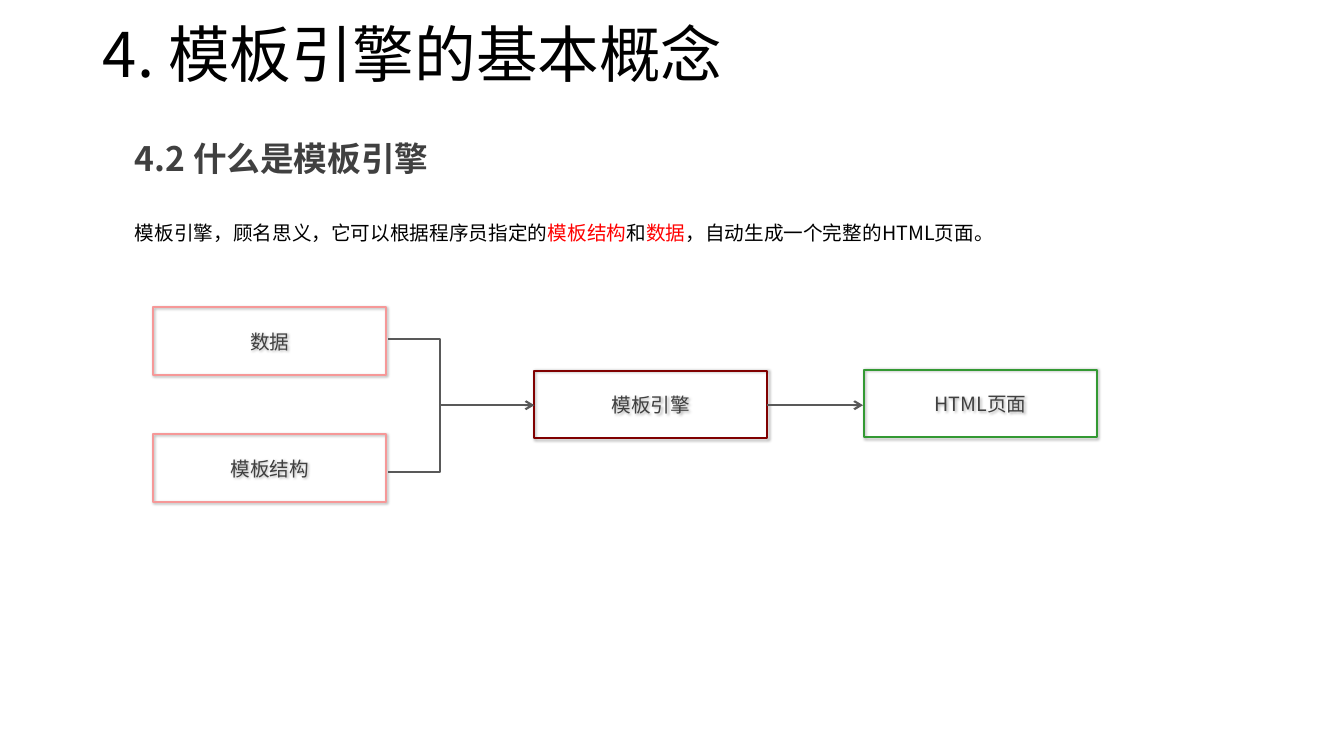
from lxml import etree
from pptx import Presentation
from pptx.dml.color import RGBColor
from pptx.enum.shapes import MSO_CONNECTOR, MSO_SHAPE
from pptx.enum.text import MSO_ANCHOR, PP_ALIGN
from pptx.oxml.ns import qn
from pptx.util import Inches, Pt

LEFT, CENTER = PP_ALIGN.LEFT, PP_ALIGN.CENTER
TOP, MIDDLE = MSO_ANCHOR.TOP, MSO_ANCHOR.MIDDLE
RECTANGLE = MSO_SHAPE.RECTANGLE
STRAIGHT = MSO_CONNECTOR.STRAIGHT

FONT = "Noto Sans CJK SC"
BLACK, RED, GREY, LINE_GREY = "000000", "FF0000", "404040", "595959"
PINK, MAROON, GREEN = "F69898", "800000", "339933"
BOX_WIDTH, BOX_HEIGHT = 2.31, 0.67
BOXES = [
    ("数据", 1.52, 3.05, PINK),
    ("模板结构", 1.52, 4.31, PINK),
    ("模板引擎", 5.3, 3.68, MAROON),
    ("HTML页面", 8.57, 3.67, GREEN),
]
BRACKET = [(3.85, 3.36), (4.36, 3.36), (4.36, 4.68), (3.85, 4.68)]
ARROW_Y = 4.02
ARROWS = [(4.36, 5.3), (7.61, 8.56)]


def color(value):
    return RGBColor.from_string(value)


def write_text(shape, runs, size, bold=False, align=LEFT, anchor=TOP, spacing=1.0):
    """Fill a shape with one paragraph of (text, colour) runs."""
    frame = shape.text_frame
    for name, value in {"word_wrap": True, "vertical_anchor": anchor}.items():
        setattr(frame, name, value)
    paragraph = frame.paragraphs[0]
    layout = {"alignment": align, "line_spacing": spacing, "space_before": Pt(0)}
    for name, value in layout.items():
        setattr(paragraph, name, value)
    for text, text_color in runs:
        run = paragraph.add_run()
        run.text = text
        for name, value in {"name": FONT, "size": Pt(size), "bold": bold}.items():
            setattr(run.font, name, value)
        run.font.color.rgb = color(text_color)
        east_asian = etree.SubElement(run.font._element, qn("a:ea"))
        east_asian.set("typeface", FONT)


def add_text(slide, position, runs, size, **formats):
    box = slide.shapes.add_textbox(*map(Inches, position))
    write_text(box, runs, size, **formats)


def style_line(shape, line_color):
    shape.line.color.rgb = color(line_color)
    shape.line.width = Pt(1.5)


def add_soft_shadow(shape):
    shape.shadow.inherit = False
    effects = shape._element.spPr.find(qn("a:effectLst"))
    shadow = etree.SubElement(effects, qn("a:outerShdw"))
    settings = {"blurRad": Pt(2), "dist": Pt(1), "dir": 45 * 60000,
                "algn": "tl", "rotWithShape": 0}
    for name, value in settings.items():
        shadow.set(name, str(value))
    shade = etree.SubElement(shadow, qn("a:srgbClr"), val=BLACK)
    etree.SubElement(shade, qn("a:alpha"), val="30000")


def add_box(slide, label, left, top, line_color):
    position = map(Inches, (left, top, BOX_WIDTH, BOX_HEIGHT))
    box = slide.shapes.add_shape(RECTANGLE, *position)
    box.fill.background()
    style_line(box, line_color)
    add_soft_shadow(box)
    write_text(box, [(label, GREY)], 14, align=CENTER, anchor=MIDDLE)


def add_bracket(slide, points):
    corners = [(Inches(x), Inches(y)) for x, y in points]
    builder = slide.shapes.build_freeform(*corners[0])
    builder.add_line_segments(corners[1:], close=False)
    bracket = builder.convert_to_shape()
    bracket.shadow.inherit = False
    bracket.fill.background()
    style_line(bracket, LINE_GREY)


def add_arrow(slide, start, end, y):
    ends = map(Inches, (start, y, end, y))
    arrow = slide.shapes.add_connector(STRAIGHT, *ends)
    style_line(arrow, LINE_GREY)
    etree.SubElement(arrow.line._get_or_add_ln(), qn("a:tailEnd"), type="arrow")
    etree.SubElement(arrow._element.spPr, qn("a:effectLst"))


def main():
    presentation = Presentation()
    presentation.slide_width = Inches(13.33)
    presentation.slide_height = Inches(7.5)
    slide = presentation.slides.add_slide(presentation.slide_layouts[5])

    # Title
    title = slide.shapes.title
    title.left, title.top, title.width, title.height = map(Inches, (0.92, 0, 9.82, 1.15))
    write_text(title, [("4. 模板引擎的基本概念", BLACK)], 44, anchor=MIDDLE, spacing=0.9)

    # Section heading and definition
    add_text(slide, (1.24, 1.36, 9.5, 0.79), [("4.2 什么是模板引擎", GREY)], 24,
             bold=True, spacing=0.9)
    definition = [
        ("模板引擎，顾名思义，它可以根据程序员指定的", BLACK),
        ("模板结构", RED),
        ("和", BLACK),
        ("数据", RED),
        ("，自动生成一个完整的HTML页面。", BLACK),
    ]
    add_text(slide, (1.24, 2.03, 9.82, 0.67), definition, 14, spacing=1.5)

    # Flow diagram
    for label, left, top, line_color in BOXES:
        add_box(slide, label, left, top, line_color)
    add_bracket(slide, BRACKET)
    for start, end in ARROWS:
        add_arrow(slide, start, end, ARROW_Y)

    presentation.save("out.pptx")


if __name__ == "__main__":
    main()
